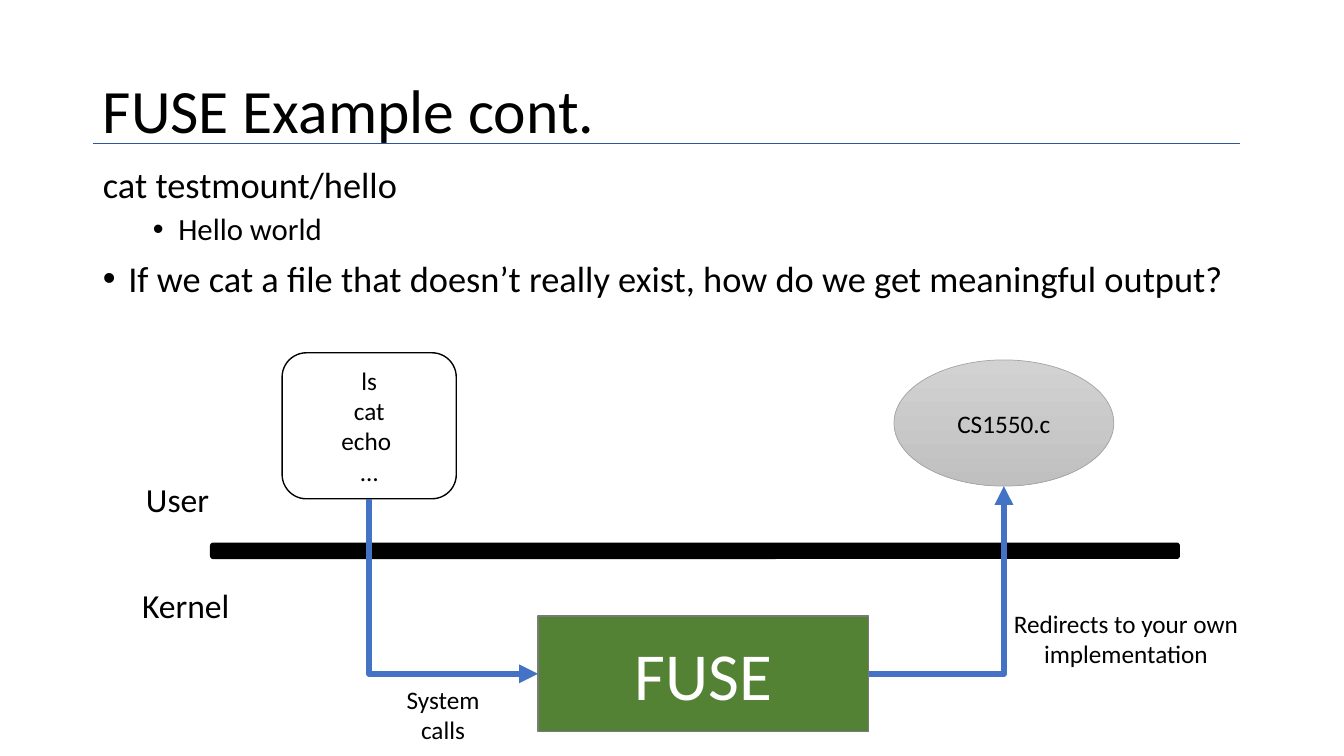
"""Build the FUSE example slide with its user/kernel diagram."""
from dataclasses import dataclass

from lxml import etree
from pptx import Presentation
from pptx.dml.color import RGBColor
from pptx.enum.shapes import MSO_CONNECTOR, MSO_SHAPE
from pptx.enum.text import MSO_ANCHOR, MSO_AUTO_SIZE, PP_ALIGN
from pptx.oxml.ns import qn
from pptx.shapes.connector import Connector
from pptx.slide import Slide
from pptx.text.text import TextFrame, _Paragraph
from pptx.util import Cm, Pt

RECT, ROUND, OVAL = MSO_SHAPE.RECTANGLE, MSO_SHAPE.ROUNDED_RECTANGLE, MSO_SHAPE.OVAL
STRAIGHT, ELBOW = MSO_CONNECTOR.STRAIGHT, MSO_CONNECTOR.ELBOW
TOP, MIDDLE = MSO_ANCHOR.TOP, MSO_ANCHOR.MIDDLE
LEFT, CENTER = PP_ALIGN.LEFT, PP_ALIGN.CENTER
NO_FIT, GROW = MSO_AUTO_SIZE.NONE, MSO_AUTO_SIZE.SHAPE_TO_FIT_TEXT

FONT = "Calibri"
COLORS = {
    "black": "000000", "white": "FFFFFF", "green": "548235", "gray": "7A7A7A",
    "oval_top": "D2D2D2", "oval_bottom": "C0C0C0", "oval_line": "A5A5A5",
    "arrow": "4472C4", "rule": "2F5597",
}


@dataclass(frozen=True)
class Box:
    """A rectangle in centimetres."""
    x: float
    y: float
    w: float
    h: float

    @property
    def cx(self) -> float:
        """Return the horizontal centre."""
        return self.x + self.w / 2

    @property
    def cy(self) -> float:
        """Return the vertical centre."""
        return self.y + self.h / 2

    @property
    def right(self) -> float:
        """Return the right edge."""
        return self.x + self.w

    @property
    def bottom(self) -> float:
        """Return the bottom edge."""
        return self.y + self.h

    def emu(self) -> tuple[Cm, Cm, Cm, Cm]:
        """Return the place as lengths."""
        return Cm(self.x), Cm(self.y), Cm(self.w), Cm(self.h)


@dataclass(frozen=True)
class Node:
    """A filled shape of the diagram."""
    kind: MSO_SHAPE
    box: Box
    fill: tuple[str, ...]
    line: str
    weight: float
    lines: tuple[str, ...] = ()
    size: float = 18
    color: str = "black"


@dataclass(frozen=True)
class Label:
    """A free text of the diagram."""
    text: str
    box: Box
    size: float
    align: PP_ALIGN


@dataclass(frozen=True)
class Item:
    """A paragraph of the body list."""
    text: str
    size: float
    level: int
    margin: float
    bullet: bool
    before: float


@dataclass(frozen=True)
class Link:
    """A line between two points in centimetres."""
    kind: MSO_CONNECTOR
    start: tuple[float, float]
    end: tuple[float, float]
    color: str
    weight: float
    arrow: str = ""


TITLE = Box(2.34, 1.02, 29.21, 3.68)
BODY = Box(2.34, 4.09, 29.21, 14.96)
PROGRAMS = Box(7.11, 8.89, 4.39, 3.68)
FUSE = Box(13.56, 15.52, 8.33, 2.92)
BAR = Box(5.31, 13.69, 24.41, 0.38)
CODE = Box(22.53, 9.07, 5.54, 3.18)

ITEMS = (
    Item("cat testmount/hello", 26, 0, 0, False, 10),
    Item("Hello world", 22, 1, 1.9, True, 5),
    Item("If we cat a file that doesn’t really exist, how do we get meaningful output?",
         26, 0, 0.64, True, 10),
)
NODES = (
    Node(ROUND, PROGRAMS, ("white",), "black", 1, ("ls", "cat", "echo ", "…")),
    Node(RECT, FUSE, ("green",), "gray", 1, ("FUSE",), 48, "white"),
    Node(ROUND, BAR, ("black",), "black", 1),
    Node(OVAL, CODE, ("oval_top", "oval_bottom"), "oval_line", 0.5, ("CS1550.c",)),
)
LABELS = (
    Label("User", Box(3.43, 11.94, 2.46, 1.27), 24, LEFT),
    Label("Kernel", Box(3.33, 14.61, 3.15, 1.27), 24, LEFT),
    Label("System calls", Box(9.83, 17.12, 2.67, 1.8), 18, CENTER),
    Label("Redirects to your own implementation", Box(24.92, 15.21, 6.91, 1.8), 18, CENTER),
)
LINKS = (
    Link(ELBOW, (FUSE.x, FUSE.cy), (PROGRAMS.cx, PROGRAMS.bottom), "arrow", 4.5, "a:headEnd"),
    Link(ELBOW, (FUSE.right, FUSE.cy), (CODE.cx, CODE.bottom), "arrow", 4.5, "a:tailEnd"),
    Link(STRAIGHT, (2.34, 3.61), (31.24, 3.61), "rule", 0.5),
)


def rgb(name: str) -> RGBColor:
    """Return a named colour."""
    return RGBColor.from_string(COLORS[name])


def add_run(p: _Paragraph, text: str, size: float, color: str = "black") -> None:
    """Add a formatted run to a paragraph."""
    r = p.add_run()
    r.text = text
    r.font.name, r.font.size, r.font.color.rgb = FONT, Pt(size), rgb(color)


def write(tf: TextFrame, lines: tuple[str, ...], size: float, align: PP_ALIGN,
          color: str = "black") -> None:
    """Write one paragraph per line."""
    tf.word_wrap = True
    for i, line in enumerate(lines):
        p = tf.add_paragraph() if i else tf.paragraphs[0]
        p.alignment = align
        add_run(p, line, size, color)


def set_bullet(p: _Paragraph, item: Item) -> None:
    """Set the indent and bullet of a list paragraph."""
    pPr = p._p.get_or_add_pPr()
    pPr.set("marL", str(Cm(item.margin)))
    pPr.set("indent", str(-Cm(0.64) if item.bullet else 0))
    if item.bullet:
        etree.SubElement(pPr, qn("a:buFont")).set("typeface", "Arial")
        etree.SubElement(pPr, qn("a:buChar")).set("char", "•")
    else:
        etree.SubElement(pPr, qn("a:buNone"))


def fill_placeholders(s: Slide) -> None:
    """Place and fill the title and the body list."""
    title, body = s.shapes.title, s.placeholders[1]
    for sp, box, anchor in ((title, TITLE, MIDDLE), (body, BODY, TOP)):
        sp.left, sp.top, sp.width, sp.height = box.emu()
        sp.text_frame.auto_size = NO_FIT
        sp.text_frame.vertical_anchor = anchor
    write(title.text_frame, ("FUSE Example cont.",), 44, LEFT)
    title.text_frame.paragraphs[0].line_spacing = 0.9
    tf = body.text_frame
    for i, item in enumerate(ITEMS):
        p = tf.add_paragraph() if i else tf.paragraphs[0]
        p.level, p.line_spacing, p.space_before = item.level, 0.9, Pt(item.before)
        set_bullet(p, item)
        add_run(p, item.text, item.size)


def add_node(s: Slide, node: Node) -> None:
    """Draw a diagram shape."""
    sp = s.shapes.add_shape(node.kind, *node.box.emu())
    sp.shadow.inherit = False
    if len(node.fill) > 1:
        sp.fill.gradient()
        sp.fill.gradient_angle = 270
        for stop, name in zip(sp.fill.gradient_stops, node.fill):
            stop.color.rgb = rgb(name)
    else:
        sp.fill.solid()
        sp.fill.fore_color.rgb = rgb(node.fill[0])
    sp.line.color.rgb, sp.line.width = rgb(node.line), Pt(node.weight)
    sp.text_frame.vertical_anchor = MIDDLE
    write(sp.text_frame, node.lines, node.size, CENTER, node.color)


def add_label(s: Slide, label: Label) -> None:
    """Draw a text label."""
    tf = s.shapes.add_textbox(*label.box.emu()).text_frame
    write(tf, (label.text,), label.size, label.align)
    tf.auto_size = GROW


def add_link(s: Slide, link: Link) -> Connector:
    """Draw a line, with one bend and an arrowhead where asked."""
    c = s.shapes.add_connector(link.kind, *map(Cm, link.start + link.end))
    c.line.color.rgb, c.line.width = rgb(link.color), Pt(link.weight)
    spPr = c.element.spPr
    if link.kind == ELBOW:
        spPr.find(qn("a:prstGeom")).set("prst", "bentConnector2")
    if link.arrow:
        etree.SubElement(spPr.find(qn("a:ln")), qn(link.arrow)).set("type", "triangle")
    etree.SubElement(spPr, qn("a:effectLst"))
    return c


def main() -> None:
    """Build and save the slide."""
    prs = Presentation()
    prs.slide_width, prs.slide_height = Cm(33.87), Cm(19.05)
    s = prs.slides.add_slide(prs.slide_layouts[1])
    fill_placeholders(s)
    for node in NODES:
        add_node(s, node)
    for link in LINKS:
        add_link(s, link)
    for label in LABELS:
        add_label(s, label)
    prs.save("out.pptx")


if __name__ == "__main__":
    main()
